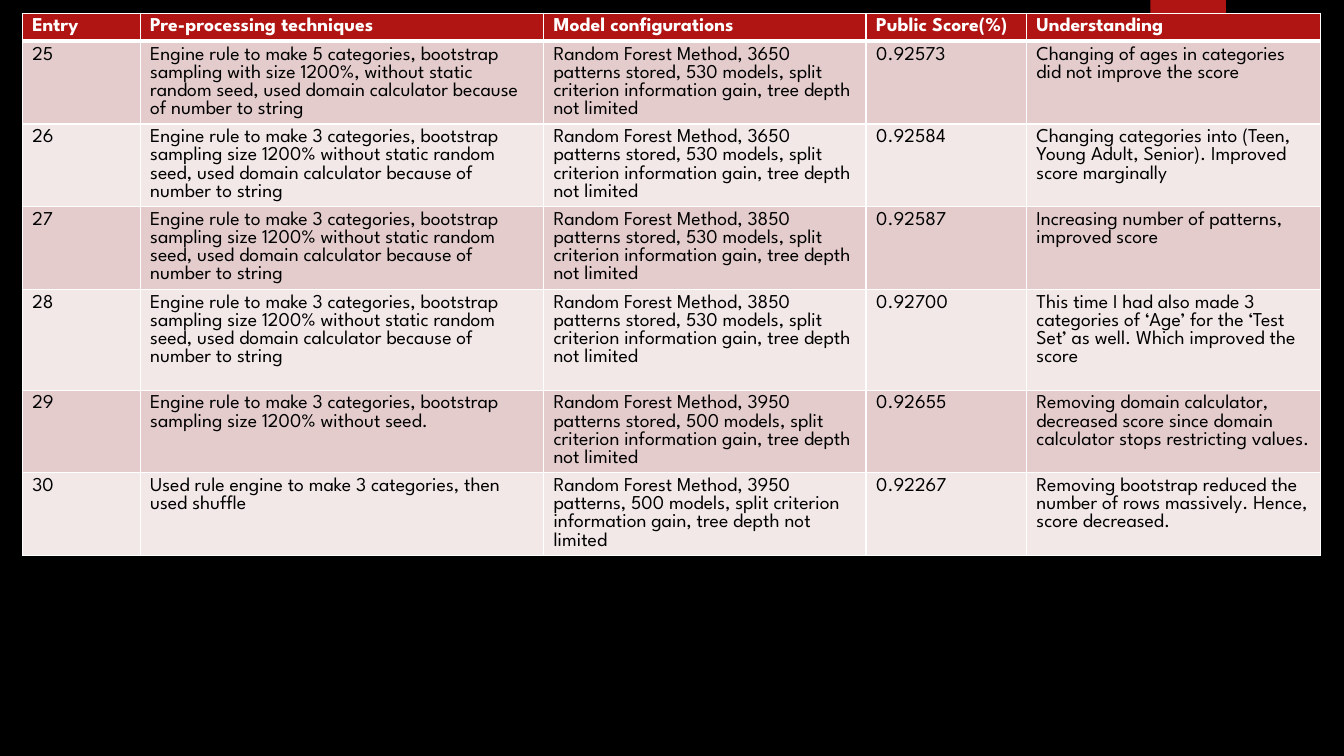
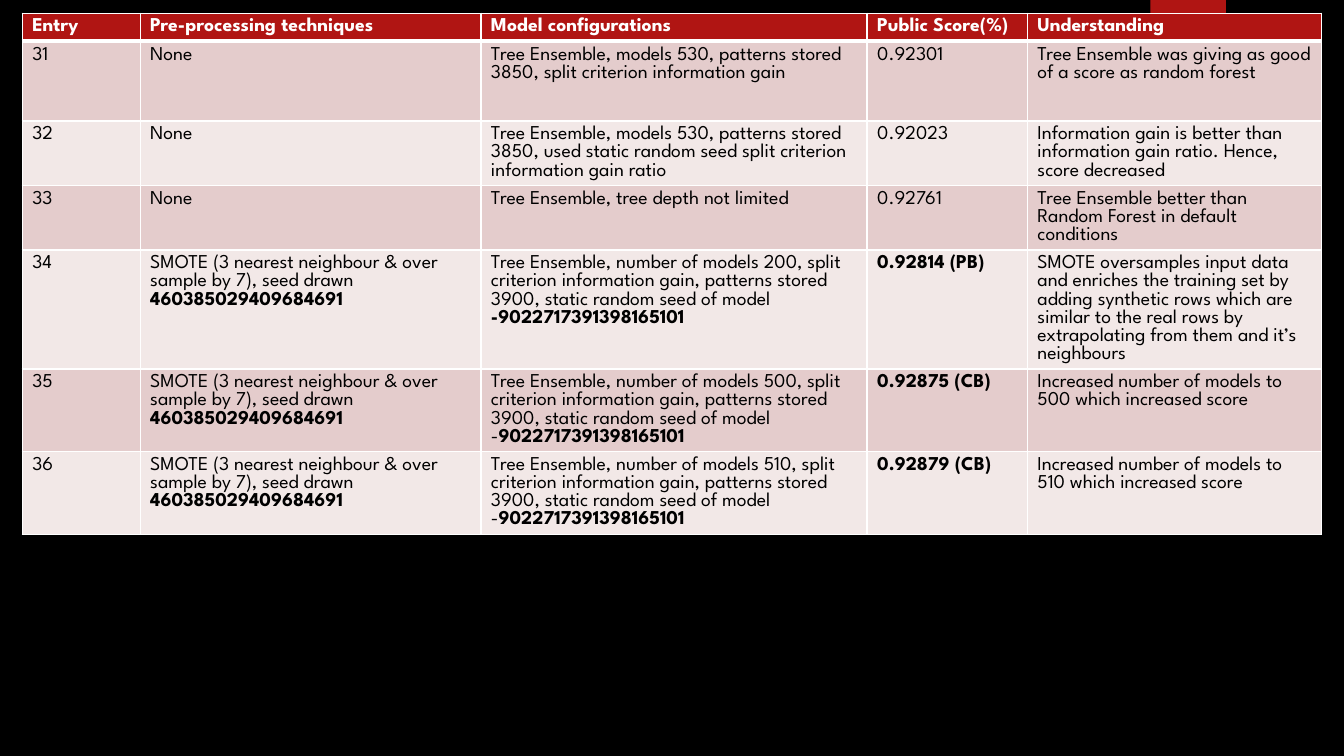
from dataclasses import dataclass

from lxml.etree import SubElement
from pptx import Presentation
from pptx.dml.color import RGBColor
from pptx.enum.shapes import MSO_SHAPE
from pptx.oxml.ns import qn
from pptx.util import Inches, Pt


@dataclass(frozen=True)
class Theme:
    font: str = "League Spartan"
    text_size: int = 14
    background: str = "000000"
    accent: str = "B01513"
    header_text: str = "FFFFFF"
    body_text: str = "000000"
    grid: str = "FFFFFF"
    grid_width: int = 1
    header_rule: int = 3
    bands: tuple = ("E4CCCC", "F2E8E7")


THEME = Theme()

HEADINGS = ("Entry", "Pre-processing techniques", "Model configurations",
            "Public Score(%)", "Understanding")
HEADER_HEIGHT = 0.28

THREE_CATEGORIES = ("Engine rule to make 3 categories, bootstrap sampling size 1200% without "
                    "static random seed, used domain calculator because of number to string")
SMOTE = ("SMOTE (3 nearest neighbour & over sample by 7), seed drawn "
         "**460385029409684691**")


def forest(patterns, models):
    return (f"Random Forest Method, {patterns}, {models} models, "
            "split criterion information gain, tree depth not limited")


def seeded_ensemble(models, seed):
    return (f"Tree Ensemble, number of models {models}, split criterion information gain, "
            f"patterns stored 3900, static random seed of model\n{seed}")


# Text between ** marks is bold; a line feed starts a new paragraph.
PAGES = [
    {
        "columns": (1.17, 4, 3.2, 1.59, 2.92),
        "heights": (0.82, 0.82, 0.82, 1, 0.82, 0.82),
        "entries": [
            ("25", "Engine rule to make 5 categories, bootstrap sampling with size 1200%, "
             "without static random seed, used domain calculator because of number to string",
             forest("3650 patterns stored", 530), "0.92573",
             "Changing of ages in categories did not improve the score"),
            ("26", THREE_CATEGORIES, forest("3650 patterns stored", 530), "0.92584",
             "Changing categories into (Teen, Young Adult, Senior). Improved score marginally"),
            ("27", THREE_CATEGORIES, forest("3850 patterns stored", 530), "0.92587",
             "Increasing number of patterns, improved score"),
            ("28", THREE_CATEGORIES, forest("3850 patterns stored", 530), "0.92700",
             "This time I had also made 3 categories of ‘Age’ for the ‘Test Set’ as well. "
             "Which improved the score"),
            ("29", "Engine rule to make 3 categories, bootstrap sampling size 1200% without seed.",
             forest("3950 patterns stored", 500), "0.92655",
             "Removing domain calculator, decreased score since domain calculator stops "
             "restricting values."),
            ("30", "Used rule engine to make 3 categories, then used shuffle",
             forest("3950 patterns", 500), "0.92267",
             "Removing bootstrap reduced the number of rows massively. Hence, score decreased."),
        ],
    },
    {
        "columns": (1.17, 3.38, 3.83, 1.59, 2.92),
        "heights": (0.79, 0.64, 0.64, 1.18, 0.82, 0.82),
        "entries": [
            ("31", "None",
             "Tree Ensemble, models 530, patterns stored 3850, split criterion information gain",
             "0.92301", "Tree Ensemble was giving as good of a score as random forest"),
            ("32", "None",
             "Tree Ensemble, models 530, patterns stored 3850, used static random seed "
             "split criterion information gain ratio", "0.92023",
             "Information gain is better than information gain ratio. Hence, score decreased"),
            ("33", "None", "Tree Ensemble, tree depth not limited", "0.92761",
             "Tree Ensemble better than Random Forest in default conditions"),
            ("34", SMOTE, seeded_ensemble(200, "**-9022717391398165101**"), "**0.92814 (PB)**",
             "SMOTE oversamples input data and enriches the training set by adding synthetic "
             "rows which are similar to the real rows by extrapolating from them and it’s "
             "neighbours"),
            ("35", SMOTE, seeded_ensemble(500, "-**9022717391398165101**"), "**0.92875 (CB)**",
             "Increased number of models to 500 which increased score"),
            ("36", SMOTE, seeded_ensemble(510, "-**9022717391398165101**"), "**0.92879 (CB)**",
             "Increased number of models to 510 which increased score"),
        ],
    },
]


def paint(fill, color):
    fill.solid()
    fill.fore_color.rgb = RGBColor.from_string(color)


def add_borders(cell, top, bottom):
    """Draw the grid lines of a cell; top and bottom are widths in points."""
    properties = cell._tc.get_or_add_tcPr()
    widths = {"a:lnL": THEME.grid_width, "a:lnR": THEME.grid_width,
              "a:lnT": top, "a:lnB": bottom}
    for side, width in widths.items():
        line = SubElement(properties, qn(side), w=str(Pt(width)))
        SubElement(SubElement(line, qn("a:solidFill")), qn("a:srgbClr"), val=THEME.grid)


def write_cell(cell, text, color, bold):
    frame = cell.text_frame
    for index, line in enumerate(text.split("\n")):
        paragraph = frame.add_paragraph() if index else frame.paragraphs[0]
        font = paragraph.font
        font.name, font.size, font.bold = THEME.font, Pt(THEME.text_size), bold
        font.color.rgb = RGBColor.from_string(color)
        for part, words in enumerate(line.split("**")):
            if words:
                run = paragraph.add_run()
                run.text = words
                if part % 2:
                    run.font.bold = True


def add_ribbon(slide):
    ribbon = slide.shapes.add_shape(
        MSO_SHAPE.RECTANGLE, Inches(11.41), 0, Inches(0.75), Inches(1.25))
    paint(ribbon.fill, THEME.accent)
    ribbon.line.fill.background()
    ribbon.shadow.inherit = False


def add_results(slide, columns, heights, entries):
    rows = [HEADINGS, *entries]
    heights = (HEADER_HEIGHT, *heights)
    table = slide.shapes.add_table(
        len(rows), len(columns), Inches(0.22), Inches(0.13),
        Inches(sum(columns)), Inches(sum(heights))).table
    for column, width in zip(table.columns, columns):
        column.width = Inches(width)
    for r, (row, height, texts) in enumerate(zip(table.rows, heights, rows)):
        row.height = Inches(height)
        is_header = r == 0
        fill = THEME.accent if is_header else THEME.bands[(r - 1) % 2]
        color = THEME.header_text if is_header else THEME.body_text
        top = THEME.header_rule if r == 1 else THEME.grid_width
        bottom = THEME.header_rule if is_header else THEME.grid_width
        for cell, text in zip(row.cells, texts):
            add_borders(cell, top, bottom)
            paint(cell.fill, fill)
            write_cell(cell, text, color, is_header)


def main():
    deck = Presentation()
    deck.slide_width, deck.slide_height = Inches(13.33), Inches(7.5)
    paint(deck.slide_master.background.fill, THEME.background)
    for page in PAGES:
        slide = deck.slides.add_slide(deck.slide_layouts[6])
        add_ribbon(slide)
        add_results(slide, **page)
    deck.save("out.pptx")


if __name__ == "__main__":
    main()
